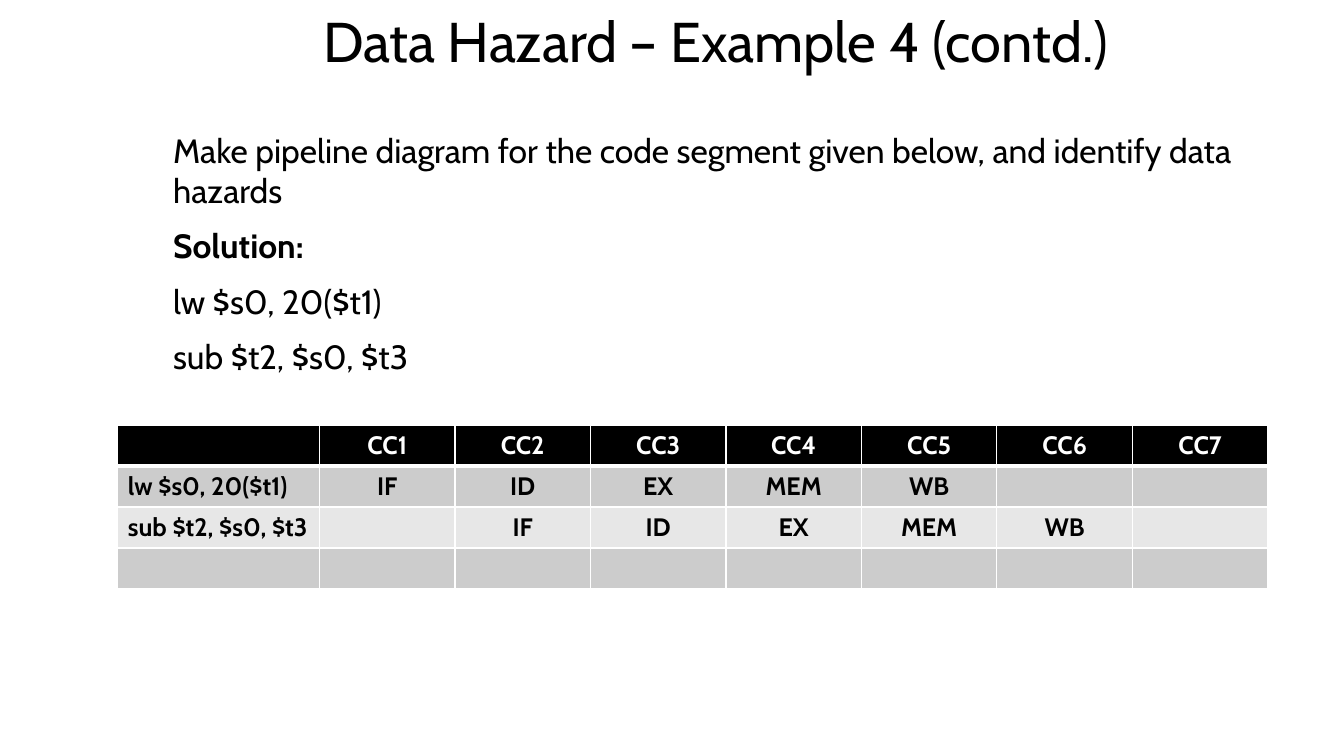
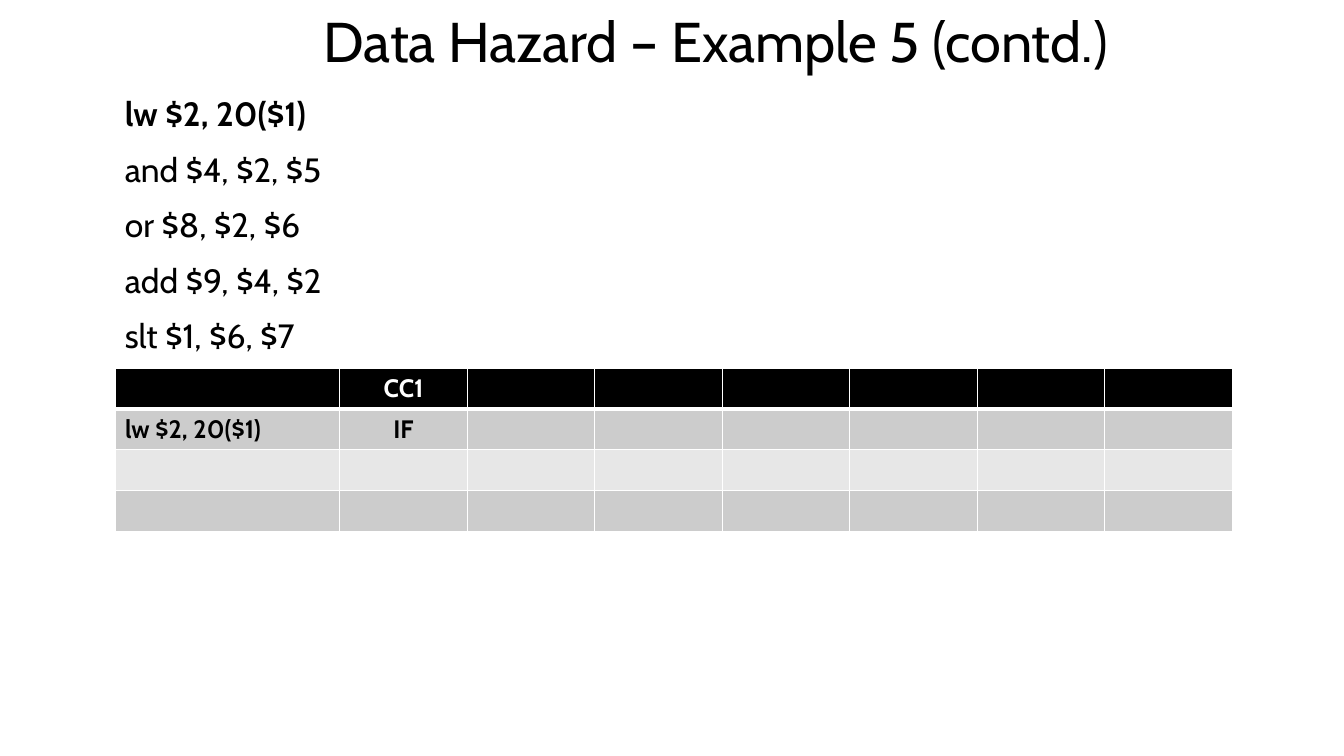
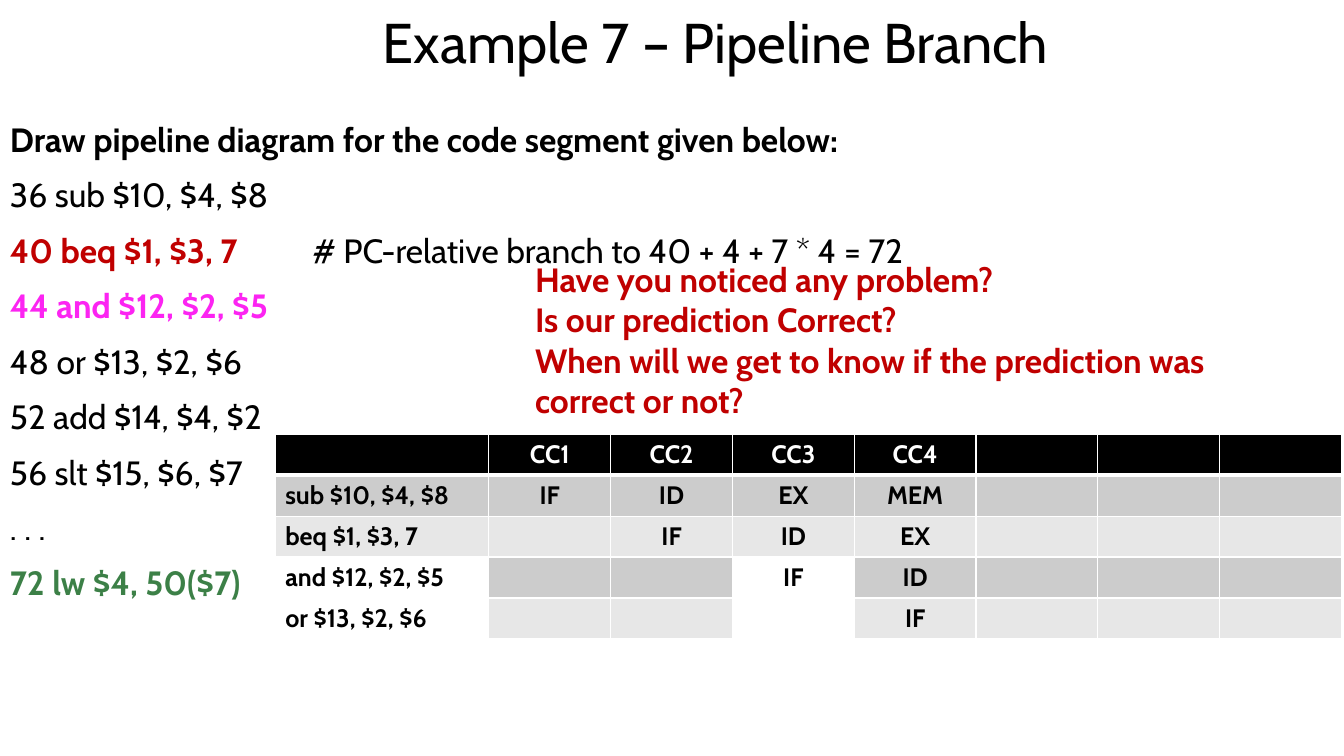
from lxml.etree import SubElement
from pptx import Presentation
from pptx.dml.color import RGBColor
from pptx.enum.text import MSO_ANCHOR as Anchor, PP_ALIGN as Align
from pptx.oxml import parse_xml
from pptx.oxml.ns import nsdecls, qn
from pptx.util import Pt

FONT = "Cabin"
BLACK, WHITE, RED = "000000", "FFFFFF", "C00000"
MAGENTA, GREEN = "FC24F2", "3C8047"
BANDS = ["CCCCCC", "E7E7E7"]
ROW_HEIGHT = 29.2
TITLE_LEFT, TITLE_WIDTH = 116.6, 789.1


def style(font, size, color, bold=False):
    font.name, font.size, font.bold = FONT, Pt(size), bold
    font.color.rgb = RGBColor.from_string(color)


def add_text(slide, box, lines, size=24, align=Align.LEFT, anchor=Anchor.MIDDLE, before=0, after=0):
    frame = slide.shapes.add_textbox(*[Pt(length) for length in box]).text_frame
    frame.word_wrap = True
    frame.vertical_anchor = anchor
    for index, (text, color, bold) in enumerate(lines):
        line = frame.paragraphs[0] if index == 0 else frame.add_paragraph()
        line.text = text
        line.alignment = align
        line.space_before, line.space_after = Pt(before), Pt(after)
        style(line.font, size, color, bold)
    return frame


lessons = [
    {
        "title": "Data Hazard – Example 4 (contd.)",
        "title_height": 57.6,
        "align": Align.LEFT,
        "body_box": (TITLE_LEFT, 57.6, TITLE_WIDTH, 246.2),
        "body": [
            ("Make pipeline diagram for the code segment given below, and identify data hazards", BLACK, False),
            ("Solution:", BLACK, True),
            ("lw $s0, 20($t1)", BLACK, False),
            ("sub $t2, $s0, $t3", BLACK, False),
        ],
        "pipeline_at": (84.2, 303.8),
        "widths": (144, 96.8),
        "pipeline": [
            ["", "CC1", "CC2", "CC3", "CC4", "CC5", "CC6", "CC7"],
            ["lw $s0, 20($t1)", "IF", "ID", "EX", "MEM", "WB", "", ""],
            ["sub $t2, $s0, $t3", "", "IF", "ID", "EX", "MEM", "WB", ""],
            [""] * 8,
        ],
        "unfilled": [],
    },
    {
        "title": "Data Hazard – Example 5 (contd.)",
        "title_height": 57.6,
        "align": Align.JUSTIFY,
        "body_box": (82.1, 57.6, TITLE_WIDTH, 205.2),
        "body": [
            ("lw $2, 20($1)", BLACK, True),
            ("and $4, $2, $5", BLACK, False),
            ("or $8, $2, $6", BLACK, False),
            ("add $9, $4, $2", BLACK, False),
            ("slt $1, $6, $7", BLACK, False),
        ],
        "pipeline_at": (82.1, 262.8),
        "widths": (160.6, 91.1),
        "pipeline": [
            ["", "CC1"] + [""] * 6,
            ["lw $2, 20($1)", "IF"] + [""] * 6,
            [""] * 8,
            [""] * 8,
        ],
        "unfilled": [],
    },
    {
        "title": "Example 7 – Pipeline Branch",
        "title_height": 59,
        "align": Align.LEFT,
        "body_box": (0, 59, 873.4, 397.4),
        "body": [
            ("Draw pipeline diagram for the code segment given below:", BLACK, True),
            ("36 sub $10, $4, $8", BLACK, False),
            ("40 beq $1, $3, 7", RED, True),
            ("44 and $12, $2, $5", MAGENTA, True),
            ("48 or $13, $2, $6", BLACK, False),
            ("52 add $14, $4, $2", BLACK, False),
            ("56 slt $15, $6, $7", BLACK, False),
            (". . .", BLACK, False),
            ("72 lw $4, 50($7)", GREEN, True),
        ],
        "pipeline_at": (196.6, 310.3),
        "widths": (152.6, 87),
        "pipeline": [
            ["", "CC1", "CC2", "CC3", "CC4", "", "", ""],
            ["sub $10, $4, $8", "IF", "ID", "EX", "MEM", "", "", ""],
            ["beq $1, $3, 7", "", "IF", "ID", "EX", "", "", ""],
            ["and $12, $2, $5", "", "", "IF", "ID", "", "", ""],
            ["or $13, $2, $6", "", "", "", "IF", "", "", ""],
        ],
        "unfilled": [(3, 0), (3, 3), (4, 0), (4, 3)],
    },
]

deck = Presentation()
deck.slide_width, deck.slide_height = Pt(960), Pt(540)

for lesson in lessons:
    slide = deck.slides.add_slide(deck.slide_layouts[6])
    title_box = (TITLE_LEFT, 0, TITLE_WIDTH, lesson["title_height"])
    add_text(slide, title_box, [(lesson["title"], BLACK, False)], size=40, align=Align.CENTER)
    body = add_text(slide, lesson["body_box"], lesson["body"], align=lesson["align"], before=4.8, after=6)

    rows = lesson["pipeline"]
    label_width, cycle_width = lesson["widths"]
    cycles = len(rows[0]) - 1
    left, top = lesson["pipeline_at"]
    pipeline = slide.shapes.add_table(
        len(rows), cycles + 1, Pt(left), Pt(top),
        Pt(label_width + cycles * cycle_width), Pt(len(rows) * ROW_HEIGHT),
    ).table
    for c, column in enumerate(pipeline.columns):
        column.width = Pt(cycle_width if c else label_width)
    for r, stages in enumerate(rows):
        pipeline.rows[r].height = Pt(ROW_HEIGHT)
        for c, stage in enumerate(stages):
            cell = pipeline.cell(r, c)
            cell.text = stage
            entry = cell.text_frame.paragraphs[0]
            entry.alignment = Align.CENTER if c else lesson["align"]
            style(entry.font, 18, BLACK if r else WHITE, True)
            if (r, c) in lesson["unfilled"]:
                cell.fill.background()
            else:
                cell.fill.solid()
                cell.fill.fore_color.rgb = RGBColor.from_string(BANDS[(r - 1) % 2] if r else BLACK)
            borders = {"lnL": 1, "lnR": 1, "lnT": 3 if r == 1 else 1, "lnB": 1 if r else 3}
            for position, (side, weight) in enumerate(borders.items()):
                cell._tc.get_or_add_tcPr().insert(position, parse_xml(
                    f'<a:{side} {nsdecls("a")} w="{Pt(weight)}"><a:solidFill>'
                    f'<a:srgbClr val="{WHITE}"/></a:solidFill></a:{side}>'
                ))

branch = body.paragraphs[2]
comment = branch.add_run()
comment.text = "\t\t# PC-relative branch to 40 + 4 + 7 * 4 = 72"
style(comment.font, 24, BLACK)
stops = parse_xml(f'<a:tabLst {nsdecls("a")}/>')
for stop in (180, 216):
    SubElement(stops, qn("a:tab"), pos=str(Pt(stop)), algn="l")
branch._p.pPr.find(qn("a:defRPr")).addprevious(stops)

questions = [
    "Have you noticed any problem?",
    "Is our prediction Correct?",
    "When will we get to know if the prediction was correct or not?",
]
add_text(slide, (375.1, 181.4, 561.6, 123.8), [(question, RED, True) for question in questions], anchor=Anchor.TOP)

deck.save("out.pptx")
